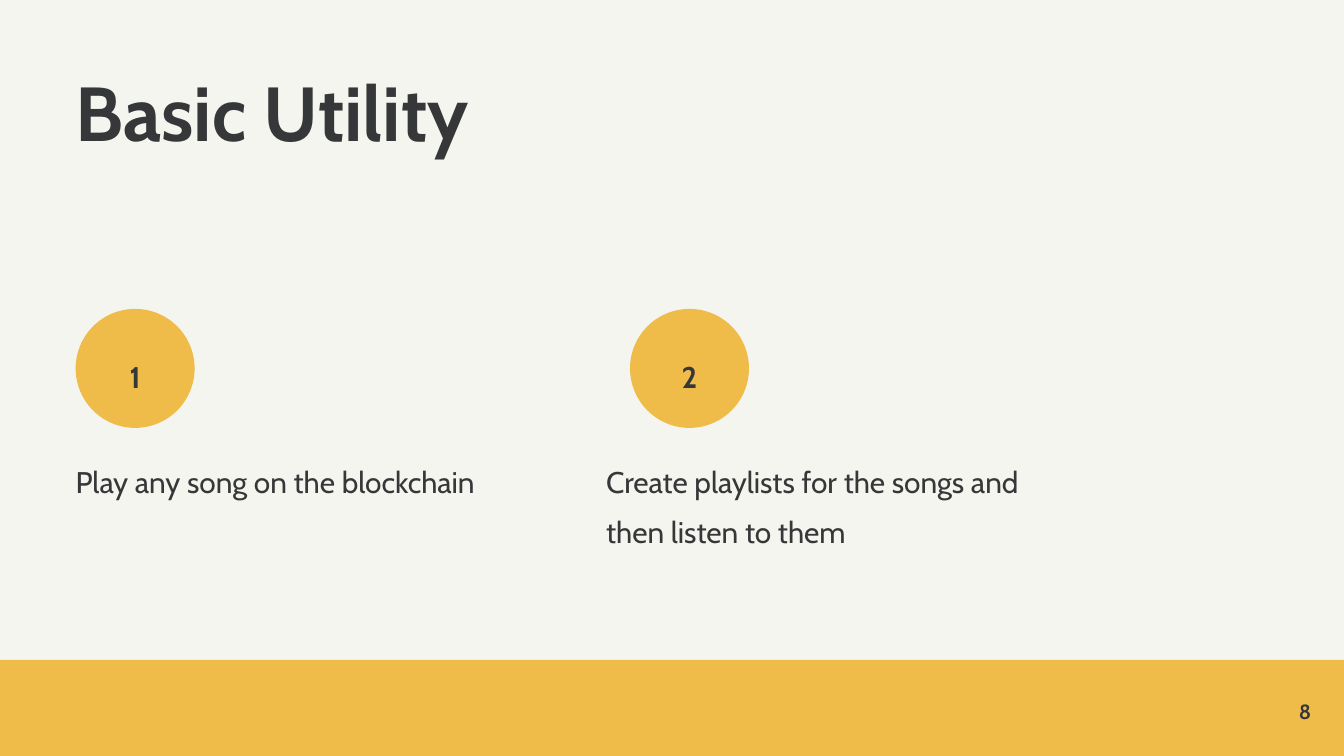
from pptx import Presentation
from pptx.dml.color import RGBColor
from pptx.enum.shapes import MSO_SHAPE as Shape
from pptx.enum.text import MSO_ANCHOR as Anchor, MSO_AUTO_SIZE as AutoSize, PP_ALIGN as Align
from pptx.oxml.ns import qn
from pptx.util import Pt

FONT = "Cabin"
INK, GOLD, PAPER = "363739", "EFBC49", "F5F5EF"
PAGE_WIDTH, PAGE_HEIGHT = 720, 405
MARGIN = 40.5
BAND_TOP = 353.5
CIRCLE_TOP, CIRCLE_SIZE = 165.5, 63.75

# Number, circle left, text left, text
UTILITIES = [
    ("1", MARGIN, MARGIN, "Play any song on the blockchain"),
    ("2", 337.5, 324.75, "Create playlists for the songs and then listen to them"),
]


def paint(fill, color):
    fill.solid()
    fill.fore_color.rgb = RGBColor.from_string(color)


def place(box, left, top, width, height):
    box.left, box.top, box.width, box.height = Pt(left), Pt(top), Pt(width), Pt(height)


def write(box, text, size, bold=False, align=Align.LEFT, spacing=1.0, anchor=Anchor.TOP):
    frame = box.text_frame
    frame.word_wrap = True
    frame.auto_size = AutoSize.NONE
    frame.vertical_anchor = anchor
    frame.margin_left = frame.margin_top = frame.margin_right = frame.margin_bottom = 0
    para = frame.paragraphs[0]
    para.text = text
    para.alignment = align
    para.line_spacing = spacing
    para.space_before = Pt(0)
    font = para.font
    font.name, font.size, font.bold = FONT, Pt(size), bold
    font.color.rgb = RGBColor.from_string(INK)


def remove_bullet(para):
    properties = para._p.get_or_add_pPr()
    properties.set("marL", "0")
    properties.set("indent", "0")
    properties.append(properties.makeelement(qn("a:buNone"), {}))


def add_solid(page, kind, left, top, width, height):
    solid = page.shapes.add_shape(kind, Pt(left), Pt(top), Pt(width), Pt(height))
    solid.shadow.inherit = False
    paint(solid.fill, GOLD)
    solid.line.fill.background()


def add_label(page, area, text, size, **style):
    box = page.shapes.add_textbox(*map(Pt, area))
    write(box, text, size, bold=True, **style)


def add_utility(page, body, number, circle_left, text_left, text):
    add_solid(page, Shape.OVAL, circle_left, CIRCLE_TOP, CIRCLE_SIZE, CIRCLE_SIZE)
    label_width = 30
    label_left = circle_left + (CIRCLE_SIZE - label_width) / 2
    add_label(page, (label_left, 187.2, label_width, 19.5), number, 16,
              align=Align.CENTER, spacing=1.25)
    place(body, text_left, 240.5, 249, 110)
    remove_bullet(body.text_frame.paragraphs[0])
    write(body, text, 16, spacing=1.4)


def main():
    deck = Presentation()
    deck.slide_width, deck.slide_height = Pt(PAGE_WIDTH), Pt(PAGE_HEIGHT)
    page = deck.slides.add_slide(deck.slide_layouts.get_by_name("Two Content"))
    paint(page.background.fill, PAPER)

    # Title
    title, *bodies = page.placeholders
    place(title, MARGIN, MARGIN, 510.5, 57)
    write(title, "Basic Utility", 41, bold=True, spacing=0.9)

    # Numbered utilities
    for body, utility in zip(bodies, UTILITIES):
        add_utility(page, body, *utility)

    # Footer band with page number
    add_solid(page, Shape.RECTANGLE, 0, BAND_TOP, PAGE_WIDTH, PAGE_HEIGHT - BAND_TOP)
    add_label(page, (659.5, 373.7, 43, 14.4), "8", 11, align=Align.RIGHT, anchor=Anchor.MIDDLE)

    deck.save("out.pptx")


if __name__ == "__main__":
    main()
